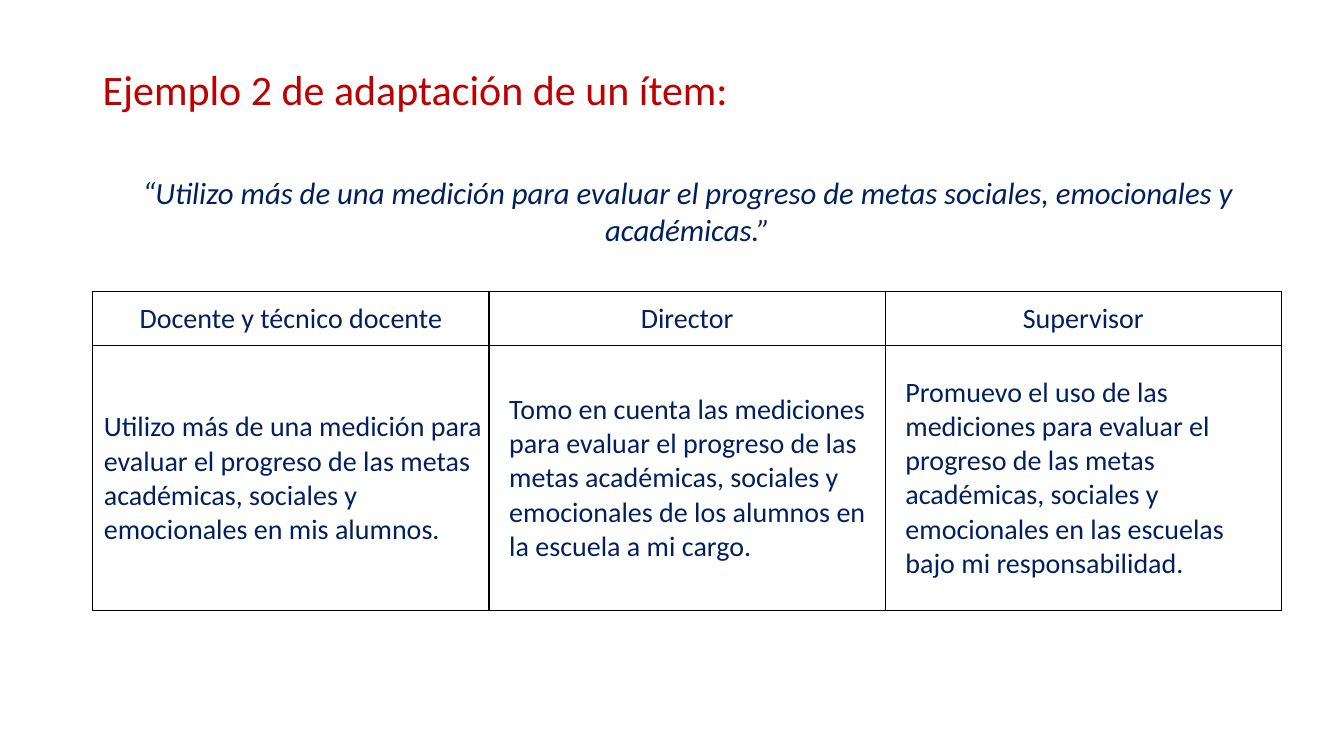
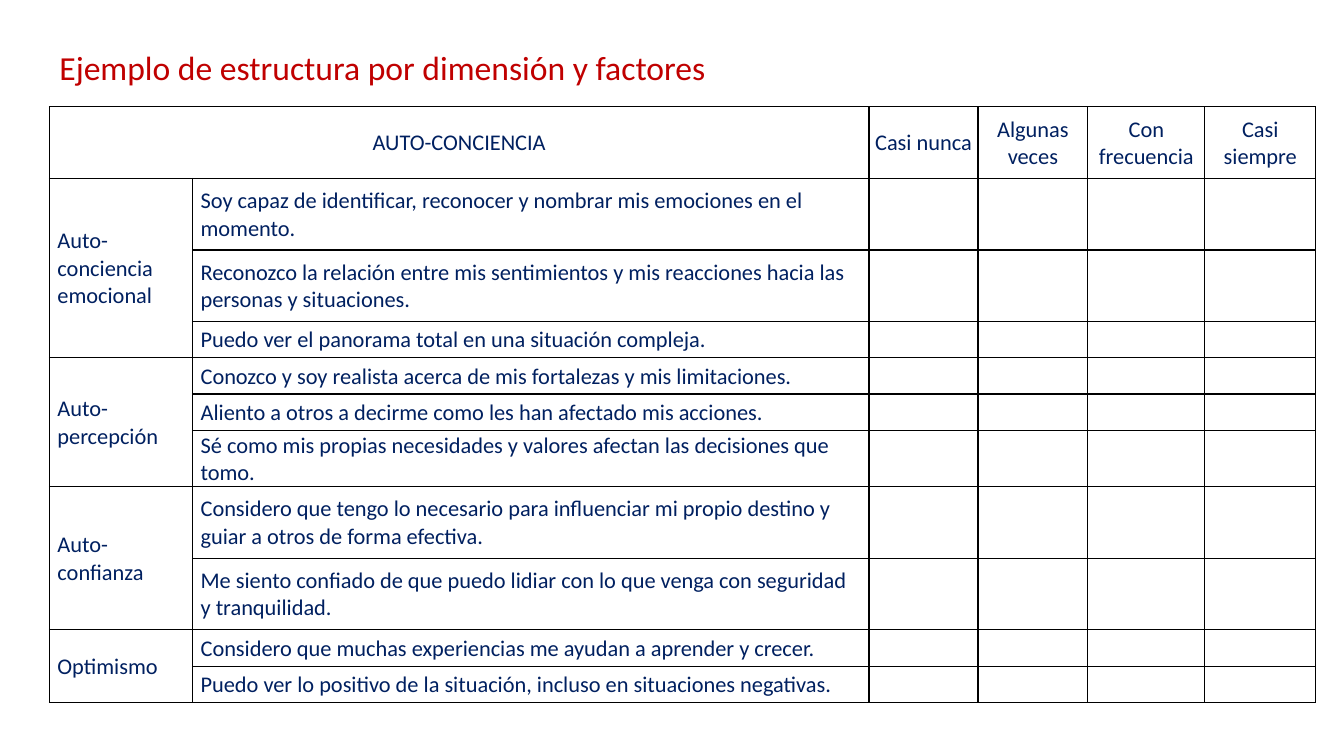
from dataclasses import dataclass

from lxml import etree
from pptx import Presentation
from pptx.dml.color import RGBColor
from pptx.enum.text import MSO_ANCHOR, PP_ALIGN
from pptx.oxml.ns import qn
from pptx.util import Emu, Pt

LEFT, CENTER = PP_ALIGN.LEFT, PP_ALIGN.CENTER
TOP, MIDDLE = MSO_ANCHOR.TOP, MSO_ANCHOR.MIDDLE
PX = 9144


@dataclass(frozen=True)
class Theme:
    """Colours, font, type sizes and cell insets shared by the slides."""

    font: str = "Calibri"
    title_color: str = "C00000"
    text_color: str = "002060"
    border_color: str = "000000"
    border_pt: int = 1
    main_title_pt: int = 30
    scale_title_pt: int = 24
    quote_pt: int = 22
    roles_pt: int = 20
    scale_pt: int = 16
    normal: tuple = (10, 5, 10, 5)
    tight: tuple = (1, 1, 1, 0)
    narrow: tuple = (8, 1, 8, 0)


THEME = Theme()

ROLES = [
    ("Docente y técnico docente",
     "Utilizo más de una medición para evaluar el progreso de las metas académicas, "
     "sociales y emocionales en mis alumnos.", THEME.tight),
    ("Director",
     "Tomo en cuenta las mediciones para evaluar el progreso de las metas académicas, "
     "sociales y emocionales de los alumnos en la escuela a mi cargo.", THEME.normal),
    ("Supervisor",
     "Promuevo el uso de las mediciones para evaluar el progreso de las metas académicas, "
     "sociales y emocionales en las escuelas bajo mi responsabilidad.", THEME.normal),
]

DIMENSION = "AUTO-CONCIENCIA"
FREQUENCIES = ["Casi nunca", "Algunas veces", "Con frecuencia", "Casi siempre"]
SCALE_COLUMNS = [142, 671, 108, 109, 116, 110]
ONE_LINE, SNUG, TWO_LINES = 36, 56, 71
FACTORS = [
    ("Auto-conciencia emocional", [
        ("Soy capaz de identificar, reconocer y nombrar mis emociones en el momento.", TWO_LINES),
        ("Reconozco la relación entre mis sentimientos y mis reacciones hacia las "
         "personas y situaciones.", TWO_LINES),
        ("Puedo ver el panorama total en una situación compleja.", ONE_LINE),
    ]),
    ("Auto-percepción", [
        ("Conozco y soy realista acerca de mis fortalezas y mis limitaciones.", ONE_LINE),
        ("Aliento a otros a decirme como les han afectado mis acciones.", ONE_LINE),
        ("Sé como mis propias necesidades y valores afectan las decisiones que tomo.", SNUG),
    ]),
    ("Auto-confianza", [
        ("Considero que tengo lo necesario para influenciar mi propio destino y guiar a "
         "otros de forma efectiva.", TWO_LINES),
        ("Me siento confiado de que puedo lidiar con lo que venga con seguridad y "
         "tranquilidad.", TWO_LINES),
    ]),
    ("Optimismo", [
        ("Considero que muchas experiencias me ayudan a aprender y crecer.", ONE_LINE),
        ("Puedo ver lo positivo de la situación, incluso en situaciones negativas.", ONE_LINE),
    ]),
]


def px(length):
    """Turn px into EMU."""
    return Emu(length * PX)


def write(frame, text, *, size, color=THEME.text_color, align=LEFT, italic=False,
          spacing=None, indent=0):
    """Write one formatted paragraph into a text frame."""
    frame.word_wrap = True
    paragraph = frame.paragraphs[0]
    paragraph.alignment = align
    if spacing:
        paragraph.line_spacing = spacing
    if indent:
        properties = paragraph._p.get_or_add_pPr()
        properties.set("marL", str(px(indent)))
        properties.set("indent", "0")
    run = paragraph.add_run()
    run.text = text
    run.font.name = THEME.font
    run.font.size = Pt(size)
    run.font.italic = italic
    run.font.color.rgb = RGBColor.from_string(color)


def add_text(slide, box, text, *, anchor=TOP, **style):
    """Place a text box in the given box."""
    frame = slide.shapes.add_textbox(*map(px, box)).text_frame
    frame.vertical_anchor = anchor
    write(frame, text, **style)


def add_title(slide, box, text, **style):
    """Place a slide title in the shared title colour."""
    add_text(slide, box, text, color=THEME.title_color, **style)


def outline(cell):
    """Leave a cell unfilled and draw its four borders."""
    cell.fill.background()
    properties = cell._tc.get_or_add_tcPr()
    for position, side in enumerate(("lnL", "lnR", "lnT", "lnB")):
        border = etree.Element(qn(f"a:{side}"), w=str(Pt(THEME.border_pt)))
        fill = etree.SubElement(border, qn("a:solidFill"))
        etree.SubElement(fill, qn("a:srgbClr"), val=THEME.border_color)
        properties.insert(position, border)


def set_insets(cell, insets):
    """Set the left, top, right and bottom insets of a cell."""
    cell.margin_left, cell.margin_top, cell.margin_right, cell.margin_bottom = map(px, insets)


def add_grid(slide, left, top, widths, heights, insets):
    """Add an outlined table with the given columns and rows."""
    table = slide.shapes.add_table(len(heights), len(widths), px(left), px(top),
                                   px(sum(widths)), px(sum(heights))).table
    table.first_row = table.horz_banding = False
    for column, width in zip(table.columns, widths):
        column.width = px(width)
    for row, height in zip(table.rows, heights):
        row.height = px(height)
    for cell in table.iter_cells():
        outline(cell)
        set_insets(cell, insets)
        cell.vertical_anchor = MIDDLE
    return table


def add_roles(slide, box):
    """Compare the wording of the item for each role."""
    left, top, width, height = box
    header = 54
    table = add_grid(slide, left, top, [width // len(ROLES)] * len(ROLES),
                     [header, height - header], THEME.normal)
    for column, (role, wording, insets) in enumerate(ROLES):
        write(table.cell(0, column).text_frame, role, size=THEME.roles_pt, align=CENTER)
        answer = table.cell(1, column)
        set_insets(answer, insets)
        write(answer.text_frame, wording, size=THEME.roles_pt, indent=10)


def add_scale(slide, left, top):
    """Lay out the questionnaire by factor, statement and frequency."""
    heights = [TWO_LINES] + [height for _, items in FACTORS for _, height in items]
    table = add_grid(slide, left, top, SCALE_COLUMNS, heights, THEME.narrow)
    table.cell(0, 0).merge(table.cell(0, 1))
    for column, heading in enumerate([DIMENSION, "", *FREQUENCIES]):
        cell = table.cell(0, column)
        set_insets(cell, THEME.tight)
        if heading:
            write(cell.text_frame, heading, size=THEME.scale_pt, align=CENTER)
    first = 1
    for factor, items in FACTORS:
        table.cell(first, 0).merge(table.cell(first + len(items) - 1, 0))
        write(table.cell(first, 0).text_frame, factor, size=THEME.scale_pt)
        for row, (statement, _) in enumerate(items, first):
            write(table.cell(row, 1).text_frame, statement, size=THEME.scale_pt)
        first += len(items)


def build_item_slide(slide):
    """Build the slide on adapting one item."""
    add_roles(slide, (92, 289, 1180, 317))
    add_text(slide, (92, 167, 1180, 121),
             "“Utilizo más de una medición para evaluar el progreso de metas sociales, "
             "emocionales y académicas.”",
             size=THEME.quote_pt, align=CENTER, italic=True)
    add_title(slide, (92, 58, 1150, 67), "Ejemplo 2 de adaptación de un ítem:",
              size=THEME.main_title_pt, anchor=MIDDLE, spacing=0.9)


def build_structure_slide(slide):
    """Build the slide on dimension and factors."""
    add_scale(slide, 49, 106)
    add_title(slide, (49, 42, 825, 50), "Ejemplo de estructura por dimensión y factores",
              size=THEME.scale_title_pt)


def main():
    """Build and save the presentation."""
    presentation = Presentation()
    presentation.slide_width, presentation.slide_height = px(1333), px(750)
    blank = presentation.slide_layouts[6]
    for build in (build_item_slide, build_structure_slide):
        build(presentation.slides.add_slide(blank))
    presentation.save("out.pptx")


if __name__ == "__main__":
    main()
